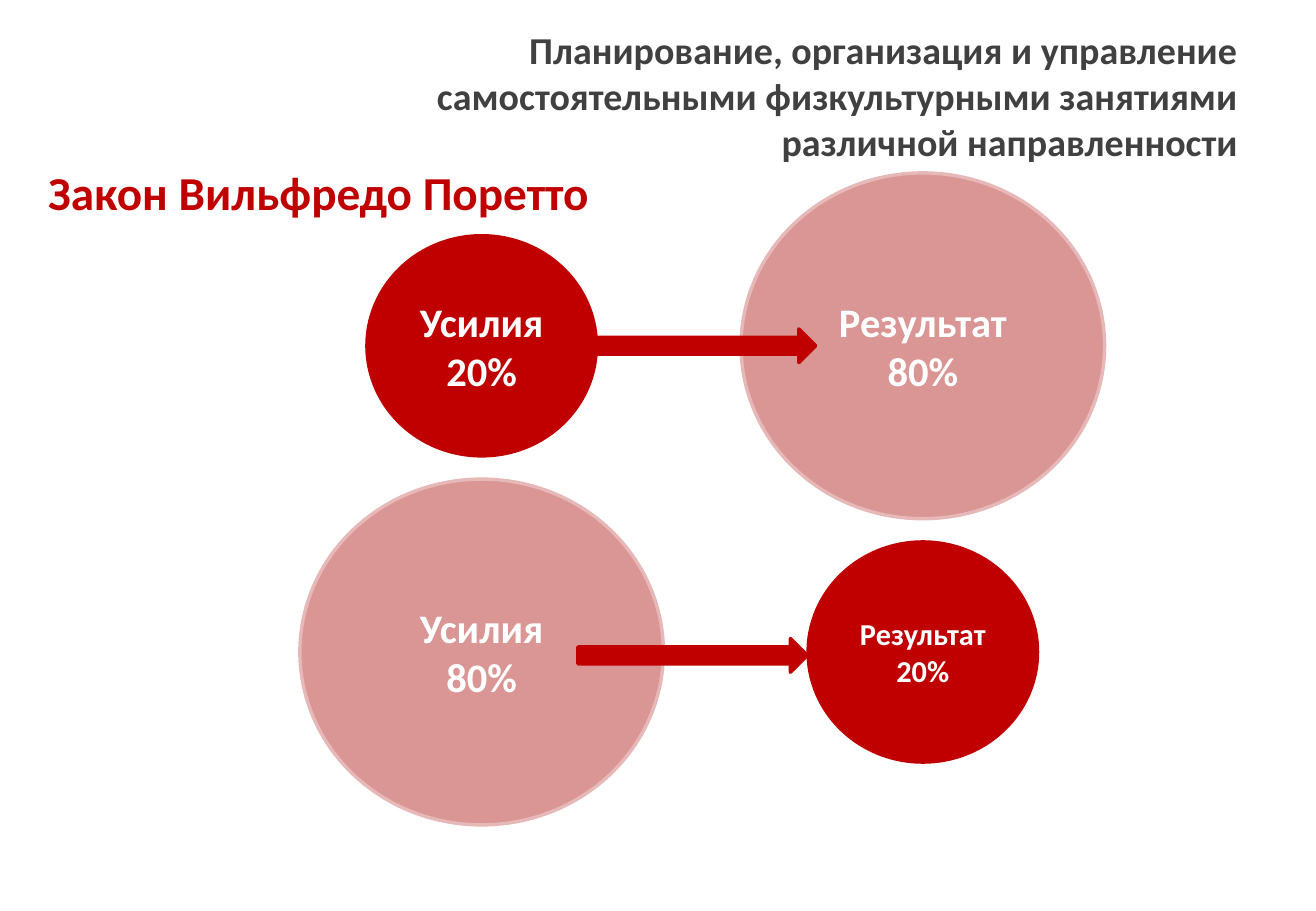
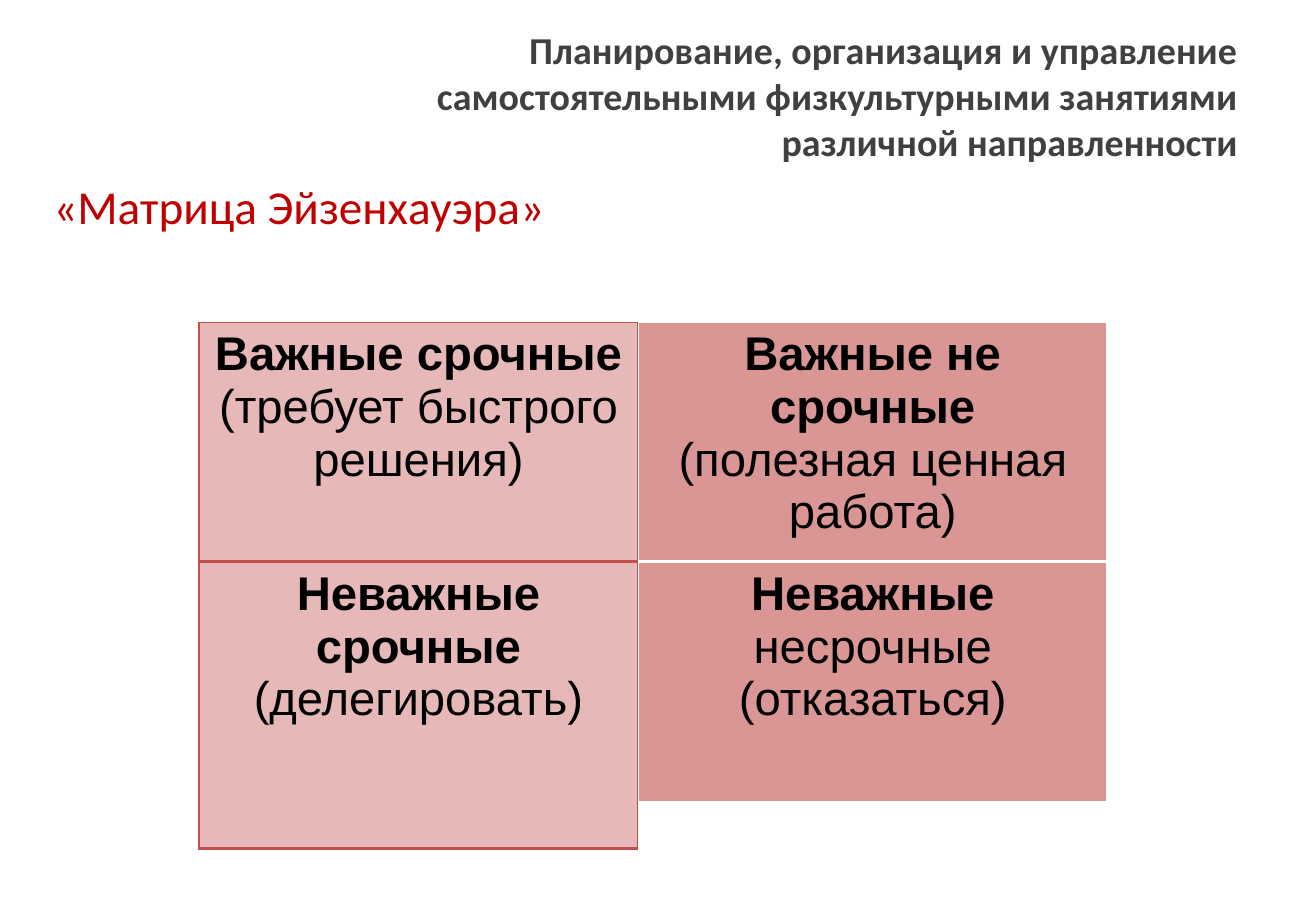
from lxml.etree import SubElement
from pptx import Presentation
from pptx.dml.color import RGBColor
from pptx.enum.shapes import MSO_SHAPE
from pptx.enum.text import MSO_ANCHOR, PP_ALIGN
from pptx.oxml.ns import qn
from pptx.util import Pt

RED, ROSE, PALE = "C00000", "D99694", "E6B9B8"
BORDER_RED, WHITE, GREY, BLACK = "C0504D", "FFFFFF", "404040", "000000"
COURSE_TITLE = ("Планирование, организация и управление самостоятельными "
                "физкультурными занятиями различной направленности")
rgb = RGBColor.from_string


def style_paragraph(paragraph, size, colour, bold, alignment, font="Calibri"):
    paragraph.alignment = alignment
    for run in paragraph.runs:
        run.font.size = Pt(size)
        run.font.name = font
        run.font.bold = bold
        run.font.color.rgb = rgb(colour)


def add_filled_shape(slide, kind, box, fill, line):
    shape = slide.shapes.add_shape(kind, *map(Pt, box))
    shape.shadow.inherit = False
    shape.fill.solid()
    shape.fill.fore_color.rgb = rgb(fill)
    shape.line.color.rgb = rgb(line)
    shape.line.width = Pt(2)
    return shape


presentation = Presentation()
presentation.slide_width, presentation.slide_height = Pt(780), Pt(540)

# Both slides: course title on the right, red subtitle on the left
slides = []
for subtitle, left, top, bold in [
    ("Закон Вильфредо Поретто", 21.5, 93, True),
    ("«Матрица Эйзенхауэра»", 24.5, 101.5, False),
]:
    slide = presentation.slides.add_slide(presentation.slide_layouts[6])
    slides.append(slide)
    for text, box, size, colour, is_bold, alignment, anchor in [
        (COURSE_TITLE, (219.5, 34.5, 521.5, 44), 22.5, GREY, True,
         PP_ALIGN.RIGHT, MSO_ANCHOR.MIDDLE),
        (subtitle, (left, top, 716.5, 42), 28, RED, bold,
         PP_ALIGN.LEFT, MSO_ANCHOR.TOP),
    ]:
        text_frame = slide.shapes.add_textbox(*map(Pt, box)).text_frame
        text_frame.word_wrap = True
        text_frame.vertical_anchor = anchor
        text_frame.text = text
        style_paragraph(text_frame.paragraphs[0], size, colour, is_bold, alignment)

pareto_slide, matrix_slide = slides

# Pareto law: small circles are 20%, large ones 80%
EFFORT_X, RESULT_X = 285.5, 547
TOP_Y, BOTTOM_Y = 205, 386.5
SMALL = (136, 130.5, RED, RED)
LARGE = (215.5, 205, ROSE, PALE)
for label, share, center_x, center_y, look, size in [
    ("Усилия", "20%", EFFORT_X, TOP_Y, SMALL, 24),
    ("Результат", "20%", RESULT_X, BOTTOM_Y, SMALL, 18),
    ("Результат", "80%", RESULT_X, TOP_Y, LARGE, 24),
    ("Усилия", "80%", EFFORT_X, BOTTOM_Y, LARGE, 24),
]:
    width, height, fill, line = look
    box = (center_x - width / 2, center_y - height / 2, width, height)
    circle = add_filled_shape(pareto_slide, MSO_SHAPE.OVAL, box, fill, line)
    circle.text_frame.text = f"{label}\n{share}"
    circle.text_frame.vertical_anchor = MSO_ANCHOR.MIDDLE
    for paragraph in circle.text_frame.paragraphs:
        style_paragraph(paragraph, size, WHITE, True, PP_ALIGN.CENTER)

for box in [(353.5, 195, 130, 20), (342.5, 378.5, 136, 20)]:
    add_filled_shape(pareto_slide, MSO_SHAPE.RIGHT_ARROW, box, RED, RED)

# Eisenhower matrix: one table per quadrant; paragraphs are lists of (text, bold)
LEFT_COLUMN = (118, 260, PALE, BORDER_RED, 2)
RIGHT_COLUMN = (378.5, 277.5, ROSE, WHITE, 3)
UPPER, LOWER = 191, 333
for column, top, height, paragraphs in [
    (LEFT_COLUMN, UPPER, 142,
     [[("Важные срочные", True)], [("(требует быстрого решения)", False)]]),
    (RIGHT_COLUMN, UPPER, 142,
     [[("Важные не срочные", True)], [("(полезная ценная работа)", False)]]),
    (LEFT_COLUMN, LOWER, 170,
     [[("Неважные срочные", True)], [("(делегировать)", False)]]),
    (RIGHT_COLUMN, LOWER, 143,
     [[("Неважные ", True), ("несрочные", False)], [("(отказаться)", False)]]),
]:
    left, width, fill, border, bottom_width = column
    table = matrix_slide.shapes.add_table(
        1, 1, Pt(left), Pt(top), Pt(width), Pt(height)).table
    table.first_row = table.horz_banding = False
    cell = table.cell(0, 0)
    properties = cell._tc.get_or_add_tcPr()
    for side, line_width in [("L", 1), ("R", 1), ("T", 1), ("B", bottom_width)]:
        line = SubElement(properties, qn(f"a:ln{side}"), w=str(Pt(line_width)))
        SubElement(SubElement(line, qn("a:solidFill")), qn("a:srgbClr"), val=border)
    cell.fill.solid()
    cell.fill.fore_color.rgb = rgb(fill)

    text_frame = cell.text_frame
    for index, runs in enumerate(paragraphs):
        paragraph = text_frame.add_paragraph() if index else text_frame.paragraphs[0]
        for text, _ in runs:
            paragraph.add_run().text = text
        style_paragraph(paragraph, 28, BLACK, False, PP_ALIGN.CENTER, "Arial")
        for run, (_, bold) in zip(paragraph.runs, runs):
            run.font.bold = bold

presentation.save("out.pptx")
